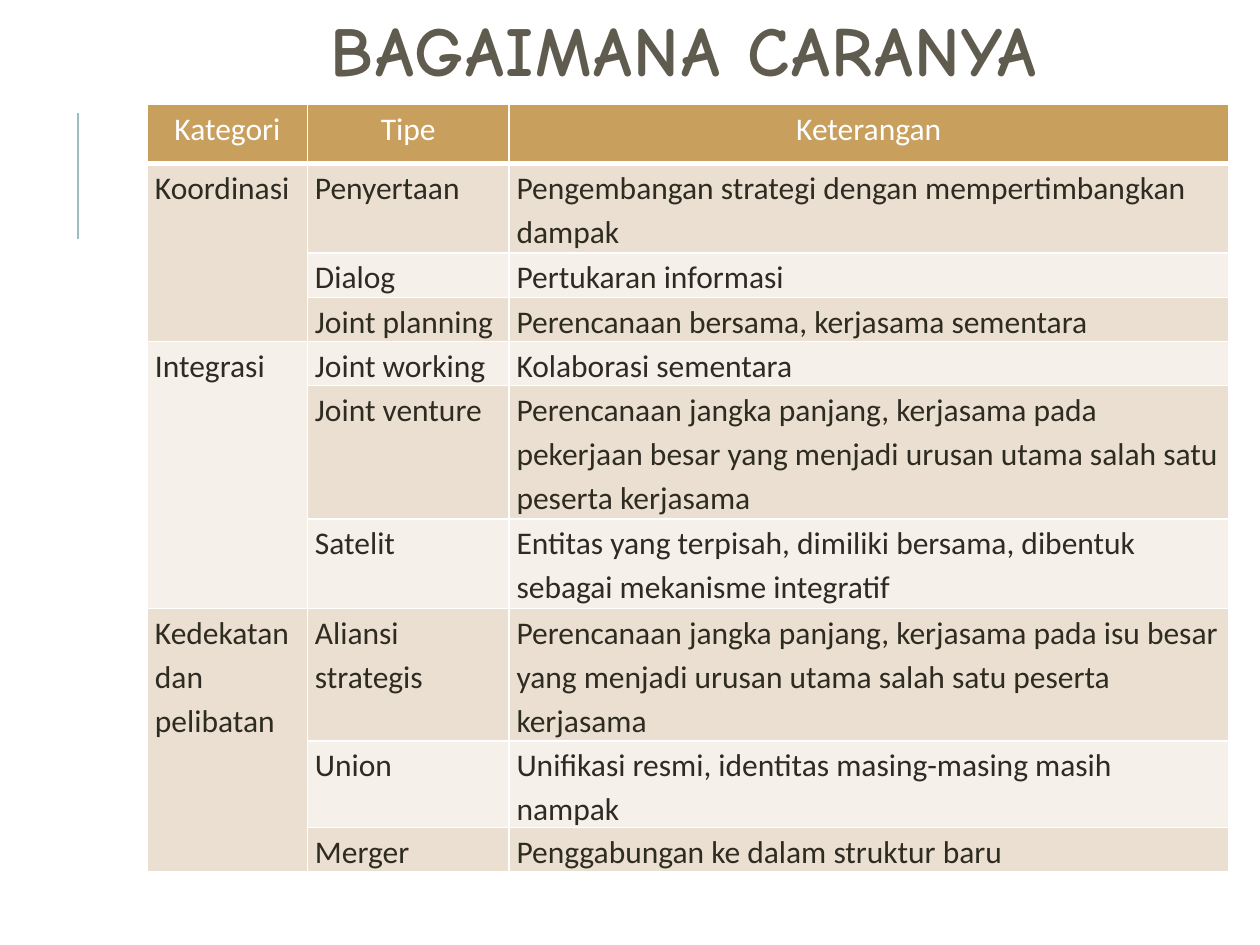
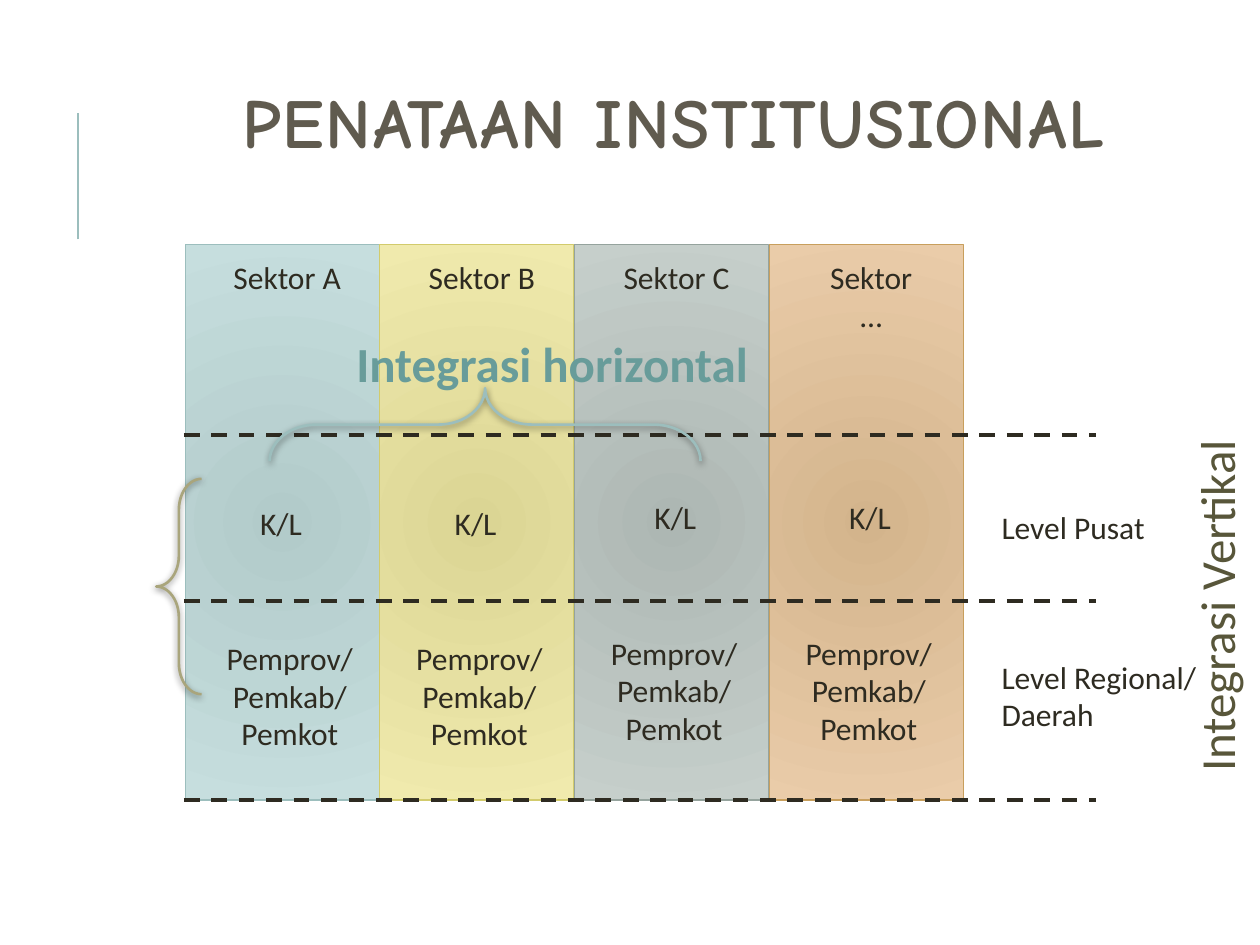
from dataclasses import dataclass
from lxml import etree
from pptx import Presentation
from pptx.dml.color import RGBColor
from pptx.enum.dml import MSO_LINE
from pptx.enum.shapes import MSO_CONNECTOR, MSO_SHAPE
from pptx.enum.text import MSO_ANCHOR, PP_ALIGN
from pptx.oxml import parse_xml
from pptx.oxml.ns import nsdecls, qn
from pptx.util import Inches, Pt


@dataclass(frozen=True)
class Theme:
    title_font: str = "Comic Neue"
    body_font: str = "Calibri"
    title_size: int = 40
    heading_size: int = 28
    body_size: int = 18
    title: str = "605B4F"
    ink: str = "2E2B21"
    white: str = "FFFFFF"
    teal: str = "9CBEBD"
    dark_teal: str = "689C9A"
    olive: str = "A9A57C"
    dark_olive: str = "58563A"
    header: str = "C89F5D"
    bands: tuple = ("EBDFD2", "F5F0EA")
    sectors: tuple = (
        ("B2CBCA", "C6DEDE", "9CBEBD"),
        ("DBD594", "F0EAAD", "D2CB6C"),
        ("ADB7B3", "C6CFCB", "95A39D"),
        ("D3B48C", "EACCA9", "C89F5D"),
    )


def rgb(color):
    return RGBColor.from_string(color)


class Deck:
    def __init__(self, theme):
        self.theme = theme
        self.presentation = Presentation()
        self.presentation.slide_width = Inches(10)
        self.presentation.slide_height = Inches(7.5)
        self.slide = None

    def new_slide(self, title, left, top):
        theme = self.theme
        layout = self.presentation.slide_layouts[6]
        self.slide = self.presentation.slides.add_slide(layout)
        self.line(0.62, 1.9, 0.62, 0.9, theme.teal, 1.5)
        box = self.text(title, left, top, 8.9, 0.61, size=theme.title_size,
                        color=theme.title, bold=True, font=theme.title_font,
                        align=PP_ALIGN.CENTER)
        box.text_frame.vertical_anchor = MSO_ANCHOR.MIDDLE
        paragraph = box.text_frame.paragraphs[0]
        paragraph.line_spacing = 0.8
        paragraph.runs[0].font._element.set("spc", "100")

    def format_text(self, text_frame, size, color, bold=False, font=None, align=PP_ALIGN.LEFT):
        for paragraph in text_frame.paragraphs:
            paragraph.alignment = align
            for run in paragraph.runs:
                run.font.name = font or self.theme.body_font
                run.font.size = Pt(size)
                run.font.bold = bold
                run.font.color.rgb = rgb(color)

    def text(self, text, left, top, width, height, size=None, color=None, bold=False,
             font=None, align=PP_ALIGN.LEFT, wrap=True):
        box = self.slide.shapes.add_textbox(
            Inches(left), Inches(top), Inches(width), Inches(height))
        box.text_frame.text = text
        box.text_frame.word_wrap = wrap
        self.format_text(box.text_frame, size or self.theme.body_size,
                         color or self.theme.ink, bold, font, align)
        return box

    def centered(self, text, center, top, width, height, wrap=False):
        self.text(text, center - width / 2, top, width, height,
                  align=PP_ALIGN.CENTER, wrap=wrap)

    def line(self, x1, y1, x2, y2, color, width, dash=None):
        connector = self.slide.shapes.add_connector(
            MSO_CONNECTOR.STRAIGHT, Inches(x1), Inches(y1), Inches(x2), Inches(y2))
        connector.line.color.rgb = rgb(color)
        connector.line.width = Pt(width)
        if dash:
            connector.line.dash_style = dash
        etree.SubElement(connector._element.spPr, qn("a:effectLst"))

    def shape(self, kind, left, top, width, height, color, line_width):
        shape = self.slide.shapes.add_shape(
            kind, Inches(left), Inches(top), Inches(width), Inches(height))
        shape.line.color.rgb = rgb(color)
        shape.line.width = Pt(line_width)
        shape.shadow.inherit = False
        return shape

    def column(self, left, top, width, height, colors):
        inner, outer, border = colors
        shape = self.shape(MSO_SHAPE.RECTANGLE, left, top, width, height, border, 0.75)
        shape.fill.gradient()
        for stop, color in zip(shape.fill.gradient_stops, (inner, outer)):
            stop.color.rgb = rgb(color)
        gradient = shape._element.spPr.find(qn("a:gradFill"))
        gradient.replace(gradient.find(qn("a:lin")), parse_xml(
            f'<a:path {nsdecls("a")} path="circle">'
            '<a:fillToRect l="100000" t="100000" r="100000" b="100000"/></a:path>'))

    def brace(self, left, top, width, height, color, curve, rotation=0):
        shape = self.shape(MSO_SHAPE.LEFT_BRACE, left, top, width, height, color, 1.5)
        shape.fill.background()
        shape.rotation = rotation
        shape.adjustments[0] = curve
        shape.adjustments[1] = 0.5
        shape._element.spPr.find(qn("a:effectLst")).append(parse_xml(
            f'<a:outerShdw {nsdecls("a")} blurRad="{Pt(4)}" dist="{Pt(1)}" dir="5400000" '
            'rotWithShape="0"><a:srgbClr val="000000"><a:alpha val="50000"/></a:srgbClr>'
            '</a:outerShdw>'))

    def cell(self, cell, text, fill, color, align, bottom):
        cell.text_frame.text = text
        cell.margin_left = cell.margin_right = Inches(0.06)
        cell.margin_top = cell.margin_bottom = 0
        cell.fill.solid()
        cell.fill.fore_color.rgb = rgb(fill)
        self.format_text(cell.text_frame, self.theme.body_size, color, align=align)
        cell.text_frame.paragraphs[0].line_spacing = 1.15
        borders = {"lnL": 1, "lnR": 1, "lnT": 1, "lnB": bottom}
        for index, (side, width) in enumerate(borders.items()):
            cell._tc.get_or_add_tcPr().insert(index, parse_xml(
                f'<a:{side} {nsdecls("a")} w="{Pt(width)}"><a:solidFill>'
                f'<a:srgbClr val="{self.theme.white}"/></a:solidFill></a:{side}>'))

    def table(self, rows, left, top, widths, heights, group):
        theme = self.theme
        table = self.slide.shapes.add_table(
            len(rows), len(widths), Inches(left), Inches(top),
            Inches(sum(widths)), Inches(sum(heights))).table
        for column, width in zip(table.columns, widths):
            column.width = Inches(width)
        for row, height in zip(table.rows, heights):
            row.height = Inches(height)
        for i, values in enumerate(rows):
            for j, value in enumerate(values):
                if i == 0:
                    style = theme.header, theme.white, PP_ALIGN.CENTER, 3
                else:
                    style = theme.bands[(i - 1) % 2], theme.ink, PP_ALIGN.LEFT, 1
                self.cell(table.cell(i, j), value, *style)
        for first in range(1, len(rows), group):
            table.cell(first, 0).merge(table.cell(first + group - 1, 0))


def build_methods(deck):
    deck.new_slide("BAGAIMANA CARANYA", 0.98, 0.14)
    rows = [
        ("Kategori", "Tipe", "Keterangan"),
        ("Koordinasi", "Penyertaan",
         "Pengembangan strategi dengan mempertimbangkan dampak"),
        ("", "Dialog", "Pertukaran informasi"),
        ("", "Joint planning", "Perencanaan bersama, kerjasama sementara"),
        ("Integrasi", "Joint working", "Kolaborasi sementara"),
        ("", "Joint venture",
         "Perencanaan jangka panjang, kerjasama pada pekerjaan besar yang menjadi "
         "urusan utama salah satu peserta kerjasama"),
        ("", "Satelit",
         "Entitas yang terpisah, dimiliki bersama, dibentuk sebagai mekanisme integratif"),
        ("Kedekatan dan pelibatan", "Aliansi strategis",
         "Perencanaan jangka panjang, kerjasama pada isu besar yang menjadi "
         "urusan utama salah satu peserta kerjasama"),
        ("", "Union", "Unifikasi resmi, identitas masing-masing masih nampak"),
        ("", "Merger", "Penggabungan ke dalam struktur baru"),
    ]
    heights = [0.47, 0.71, 0.35, 0.35, 0.35, 1.06, 0.71, 1.05, 0.35, 0.35]
    deck.table(rows, 1.17, 0.83, [1.27, 1.6, 5.71], heights, group=3)


def build_institutions(deck):
    theme = deck.theme
    deck.new_slide("PENATAAN INSTITUSIONAL", 0.9, 0.71)
    sectors = [
        ("Sektor A", 0.76, 3.95, 0.83, 5.02),
        ("Sektor B", 0.76, 3.95, 0.79, 5.02),
        ("Sektor C", 0.8, 3.9, 0.79, 4.98),
        ("Sektor …", 0.8, 3.9, 0.79, 4.98),
    ]
    lefts = [1.47 + 1.545 * i for i in range(len(sectors))]
    for left, colors in zip(lefts, theme.sectors):
        deck.column(left, 1.94, 1.54, 4.41, colors)
    for y in (3.45, 4.77, 6.35):
        deck.line(1.46, y, 8.7, y, theme.ink, 2.25, MSO_LINE.DASH)
    deck.brace(3.56, 1.66, 0.58, 3.42, theme.teal, 0.642, rotation=90)
    deck.brace(1.24, 3.8, 0.36, 1.71, theme.olive, 0.685)
    for left, (name, central_x, central_y, regional_x, regional_y) in zip(lefts, sectors):
        deck.centered(name, left + 0.81, 2, 1.06, 0.4)
        deck.centered("K/L", left + central_x, central_y, 0.54, 0.4)
        deck.centered("Pemprov/ Pemkab/ Pemkot", left + regional_x, regional_y,
                      1.22, 1.01, wrap=True)
    deck.text("Level Pusat", 7.85, 3.98, 1.35, 0.4, wrap=False)
    deck.text("Level Regional/ Daerah", 7.85, 5.17, 1.95, 0.71)
    deck.text("Integrasi horizontal", 2.73, 2.6, 3.35, 0.57, size=theme.heading_size,
              color=theme.dark_teal, bold=True, wrap=False)
    vertical = deck.text("Integrasi Vertikal", 8.22, 4.51, 2.86, 0.57,
                         size=theme.heading_size, color=theme.dark_olive, wrap=False)
    vertical.rotation = 270


def main():
    deck = Deck(Theme())
    build_methods(deck)
    build_institutions(deck)
    deck.presentation.save("out.pptx")


if __name__ == "__main__":
    main()
